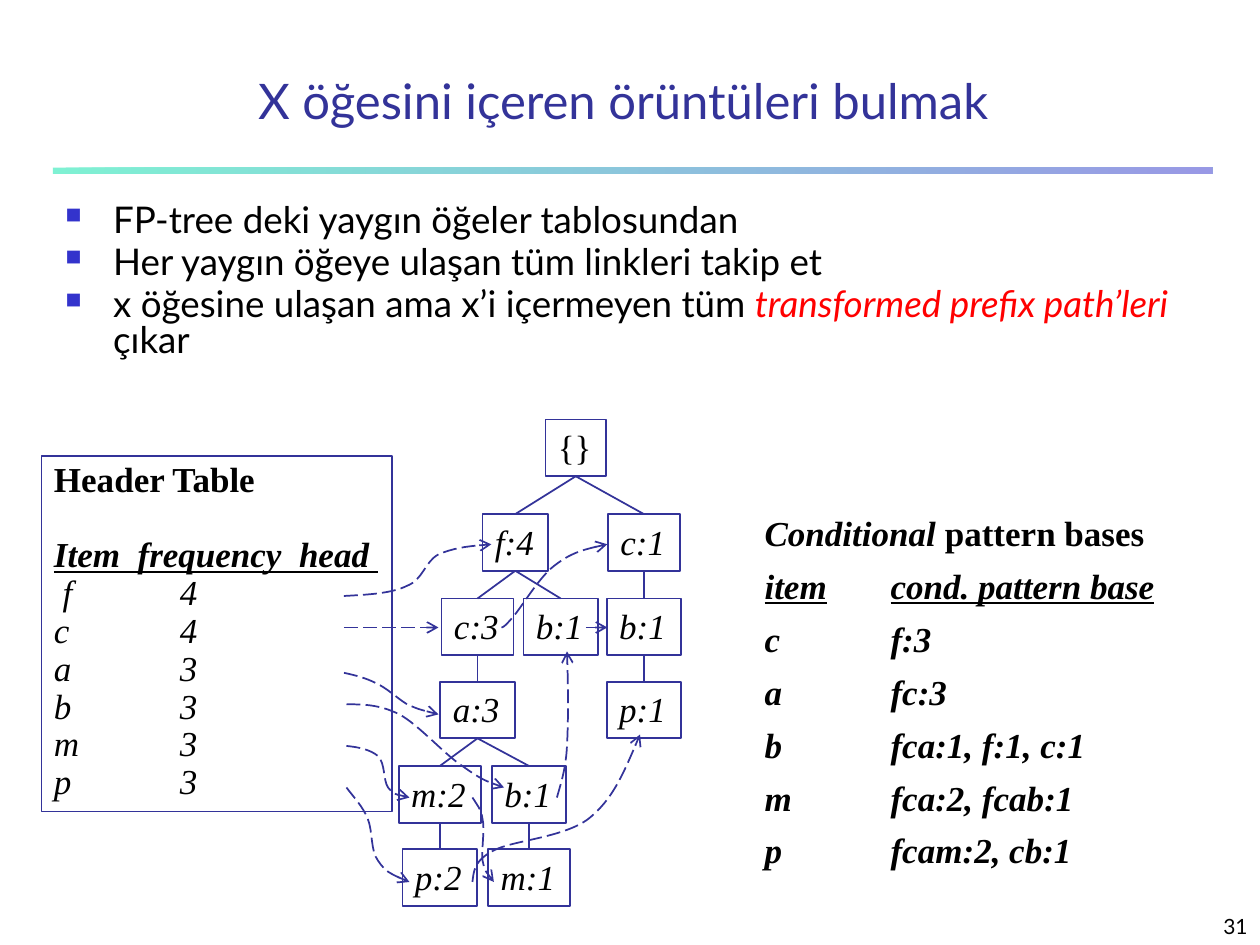
from dataclasses import dataclass

from lxml.etree import SubElement
from pptx import Presentation
from pptx.dml.color import RGBColor
from pptx.enum.dml import MSO_LINE
from pptx.enum.shapes import MSO_CONNECTOR, MSO_SHAPE
from pptx.enum.text import MSO_ANCHOR, MSO_AUTO_SIZE, PP_ALIGN
from pptx.oxml.ns import qn
from pptx.util import Inches, Pt


@dataclass(frozen=True)
class Theme:
    sans: str = "Lato"
    serif: str = "Times New Roman"
    ink: str = "000000"
    accent: str = "333399"
    bullet: str = "3333CC"
    highlight: str = "FF0000"
    rule_start: str = "00E4A8"
    rule_end: str = "3333CC"
    title_size: int = 28
    body_size: int = 21
    diagram_size: int = 20
    number_size: int = 12


THEME = Theme()
NODE_HEIGHT = 0.45
LEVEL_TOPS = (3.33, 4.08, 4.75, 5.41, 6.08, 6.74)
NODE_WIDTHS = {"{": 0.48, "f": 0.52, "c": 0.57, "a": 0.59, "b": 0.59, "p": 0.59, "m": 0.65}

# name: (label, centre, level, parent)
TREE = {
    "root": ("{}", 4.57, 0, None),
    "f4": ("f:4", 4.09, 1, "root"),
    "c1": ("c:1", 5.11, 1, "root"),
    "c3": ("c:3", 3.79, 2, "f4"),
    "b1 middle": ("b:1", 4.45, 2, "f4"),
    "b1 right": ("b:1", 5.11, 2, "c1"),
    "a3": ("a:3", 3.79, 3, "c3"),
    "p1": ("p:1", 5.11, 3, "b1 right"),
    "m2": ("m:2", 3.49, 4, "a3"),
    "b1 lower": ("b:1", 4.2, 4, "a3"),
    "p2": ("p:2", 3.49, 5, "m2"),
    "m1": ("m:1", 4.2, 5, "b1 lower"),
}

STRAIGHT_LINKS = [((2.73, 4.98), (3.48, 4.98)), ((4.65, 4.98), (4.82, 4.98))]

# start point, then two control points and an end point for each curve
CURVED_LINKS = [
    [(2.73, 4.73), (2.92, 4.72), (3.11, 4.71), (3.23, 4.65), (3.36, 4.6), (3.37, 4.46),
     (3.48, 4.4), (3.6, 4.35), (3.75, 4.33), (3.9, 4.32)],
    [(3.98, 4.98), (3.99, 4.98), (4, 4.98), (4.07, 4.9), (4.14, 4.82), (4.28, 4.58),
     (4.4, 4.49), (4.53, 4.39), (4.67, 4.35), (4.82, 4.32)],
    [(2.73, 5.34), (2.82, 5.36), (2.9, 5.38), (2.98, 5.42), (3.07, 5.46), (3.15, 5.54),
     (3.23, 5.59), (3.32, 5.63), (3.4, 5.65), (3.48, 5.67)],
    [(2.75, 5.59), (2.88, 5.59), (3.01, 5.59), (3.17, 5.67), (3.32, 5.75), (3.53, 5.99),
     (3.67, 6.08), (3.81, 6.18), (3.9, 6.22), (4, 6.25)],
    [(4.42, 6.33), (4.45, 6.22), (4.49, 6.11), (4.5, 5.92), (4.51, 5.72), (4.51, 5.45),
     (4.5, 5.17)],
    [(2.75, 5.92), (2.85, 5.93), (2.94, 5.95), (3, 6), (3.06, 6.06), (3.04, 6.19),
     (3.08, 6.25), (3.13, 6.31), (3.19, 6.32), (3.25, 6.33)],
    [(3.75, 6.33), (3.78, 6.38), (3.82, 6.42), (3.83, 6.5), (3.85, 6.58), (3.82, 6.75),
     (3.83, 6.83), (3.85, 6.92), (3.88, 6.96), (3.92, 7)],
    [(2.75, 6.25), (2.81, 6.33), (2.88, 6.4), (2.92, 6.5), (2.96, 6.6), (2.94, 6.75),
     (3, 6.83), (3.06, 6.92), (3.15, 6.96), (3.25, 7)],
    [(3.75, 7), (3.76, 6.92), (3.76, 6.83), (3.92, 6.75), (4.07, 6.67), (4.47, 6.65),
     (4.67, 6.5), (4.86, 6.35), (4.97, 6.09), (5.08, 5.83)],
]


def add_run(paragraph, text, font=THEME.serif, size=THEME.diagram_size, color=THEME.ink,
            bold=False, italic=False, underline=False):
    run = paragraph.add_run()
    run.text = text
    run.font.name, run.font.size = font, Pt(size)
    run.font.color.rgb = RGBColor.from_string(color)
    run.font.bold, run.font.italic, run.font.underline = bold, italic, underline


def next_paragraph(frame, line_spacing=1.0, before=0, align=PP_ALIGN.LEFT):
    """Return the unused first paragraph, or a new one."""
    first = frame.paragraphs[0]
    paragraph = frame.add_paragraph() if first.runs else first
    paragraph.line_spacing, paragraph.space_before = line_spacing, Pt(before)
    paragraph.alignment = align
    return paragraph


def add_text_box(slide, left, top, width, height, anchor=MSO_ANCHOR.TOP):
    frame = slide.shapes.add_textbox(*map(Inches, (left, top, width, height))).text_frame
    frame.word_wrap, frame.vertical_anchor = True, anchor
    return frame


def add_outlined_box(slide, left, top, width, height):
    box = slide.shapes.add_shape(MSO_SHAPE.RECTANGLE, *map(Inches, (left, top, width, height)))
    box.shadow.inherit = False
    box.fill.background()
    set_line(box.line)
    frame = box.text_frame
    frame.word_wrap, frame.vertical_anchor = False, MSO_ANCHOR.TOP
    frame.auto_size = MSO_AUTO_SIZE.SHAPE_TO_FIT_TEXT
    return frame


def set_line(line, link=False):
    """Style a line; a link is dashed and ends in an open arrow."""
    line.color.rgb = RGBColor.from_string(THEME.accent)
    line.width = Pt(1)
    if link:
        line.dash_style = MSO_LINE.LONG_DASH
        SubElement(line._get_or_add_ln(), qn("a:tailEnd"), type="arrow")


def add_straight(slide, start, end, link=False):
    connector = slide.shapes.add_connector(MSO_CONNECTOR.STRAIGHT, *map(Inches, (*start, *end)))
    SubElement(connector._element.spPr, qn("a:effectLst"))
    set_line(connector.line, link)


def add_curve(slide, points):
    start, *rest = [tuple(map(Inches, point)) for point in points]
    builder = slide.shapes.build_freeform(*start)
    builder.add_line_segments(rest, close=False)
    curve = builder.convert_to_shape()
    segments = list(curve._element.iter(qn("a:lnTo")))
    for index in range(0, len(segments), 3):
        bezier = SubElement(segments[index].getparent(), qn("a:cubicBezTo"))
        for segment in segments[index:index + 3]:
            bezier.append(segment[0])
            segment.getparent().remove(segment)
    curve.shadow.inherit = False
    curve.fill.background()
    set_line(curve.line, link=True)


def set_bullet(paragraph):
    properties = paragraph._p.get_or_add_pPr()
    properties.set("marL", str(Inches(0.38)))
    properties.set("indent", str(-Inches(0.38)))
    SubElement(SubElement(properties, qn("a:buClr")), qn("a:srgbClr"), val=THEME.bullet)
    SubElement(properties, qn("a:buSzPct"), val="60000")
    SubElement(properties, qn("a:buChar"), char="■")


def set_tab(paragraph):
    tabs = SubElement(paragraph._p.get_or_add_pPr(), qn("a:tabLst"))
    SubElement(tabs, qn("a:tab"), pos=str(Inches(1)), algn="l")


def add_title_rule(slide):
    rule = slide.shapes.add_shape(MSO_SHAPE.RECTANGLE, *map(Inches, (0.42, 1.33, 9.2, 0.05)))
    rule.shadow.inherit = False
    rule.line.fill.background()
    rule.fill.gradient()
    rule.fill.gradient_angle = 0
    for stop, color in zip(rule.fill.gradient_stops, (THEME.rule_start, THEME.rule_end)):
        stop.color.rgb = RGBColor.from_string(color)
    for color in rule._element.spPr.iter(qn("a:srgbClr")):
        SubElement(color, qn("a:alpha"), val="50000")


def add_headings(slide):
    number = add_text_box(slide, 7.92, 7.08, 2.08, 0.42, MSO_ANCHOR.BOTTOM)
    add_run(next_paragraph(number, align=PP_ALIGN.RIGHT), "31", THEME.sans, THEME.number_size)
    title = add_text_box(slide, 0.33, 0.33, 9.33, 0.75, MSO_ANCHOR.BOTTOM)
    add_run(next_paragraph(title, 0.9, align=PP_ALIGN.CENTER),
            "X öğesini içeren örüntüleri bulmak ", THEME.sans, THEME.title_size, THEME.accent)


def add_bullets(slide):
    frame = add_text_box(slide, 0.42, 1.58, 9.17, 1.67)
    for index, text in enumerate(("FP-tree deki yaygın öğeler tablosundan",
                                  "Her yaygın öğeye ulaşan tüm linkleri takip et",
                                  "x öğesine ulaşan ama x’i içermeyen tüm ")):
        paragraph = next_paragraph(frame, 0.8, 4 if index else 0)
        set_bullet(paragraph)
        add_run(paragraph, text, THEME.sans, THEME.body_size)
    add_run(paragraph, "transformed prefix path’leri ", THEME.sans, THEME.body_size,
            THEME.highlight, italic=True)
    add_run(paragraph, "çıkar", THEME.sans, THEME.body_size)


def add_pattern_bases(slide):
    frame = add_text_box(slide, 5.97, 4.01, 3.64, 3.04)
    heading = next_paragraph(frame)
    add_run(heading, "Conditional ", bold=True, italic=True)
    add_run(heading, "pattern bases", bold=True)
    rows = (("item", "cond. pattern base"), ("c", "f:3"), ("a", "fc:3"),
            ("b", "fca:1, f:1, c:1"), ("m", "fca:2, fcab:1"), ("p", "fcam:2, cb:1"))
    for index, row in enumerate(rows):
        paragraph = next_paragraph(frame, 0.8, 11)
        set_tab(paragraph)
        add_run(paragraph, "\t".join(row), bold=True, italic=True, underline=index == 0)


def add_header_table(slide):
    frame = add_outlined_box(slide, 0.33, 3.62, 2.78, 2.82)
    add_run(next_paragraph(frame, 0.9), "Header Table", bold=True)
    add_run(next_paragraph(frame, 0.9, 21.5), "Item  frequency  head ",
            bold=True, italic=True, underline=True)
    for item, frequency in ((" f", 4), ("c", 4), ("a", 3), ("b", 3), ("m", 3), ("p", 3)):
        paragraph = next_paragraph(frame, 0.9)
        set_tab(paragraph)
        add_run(paragraph, f"{item}\t{frequency}", italic=True)


def add_tree(slide):
    for label, centre, level, parent in TREE.values():
        top, width = LEVEL_TOPS[level], NODE_WIDTHS[label[0]]
        frame = add_outlined_box(slide, centre - width / 2, top, width, NODE_HEIGHT)
        add_run(next_paragraph(frame), label, italic=parent is not None)
        if parent:
            _, parent_centre, parent_level, _ = TREE[parent]
            parent_bottom = LEVEL_TOPS[parent_level] + NODE_HEIGHT
            add_straight(slide, (parent_centre, parent_bottom), (centre, top))


def main():
    presentation = Presentation()
    presentation.slide_width, presentation.slide_height = Inches(10), Inches(7.5)
    slide = presentation.slides.add_slide(presentation.slide_layouts[6])
    for add_part in (add_title_rule, add_headings, add_bullets, add_pattern_bases,
                     add_tree, add_header_table):
        add_part(slide)
    for start, end in STRAIGHT_LINKS:
        add_straight(slide, start, end, link=True)
    for points in CURVED_LINKS:
        add_curve(slide, points)
    presentation.save("out.pptx")


if __name__ == "__main__":
    main()
